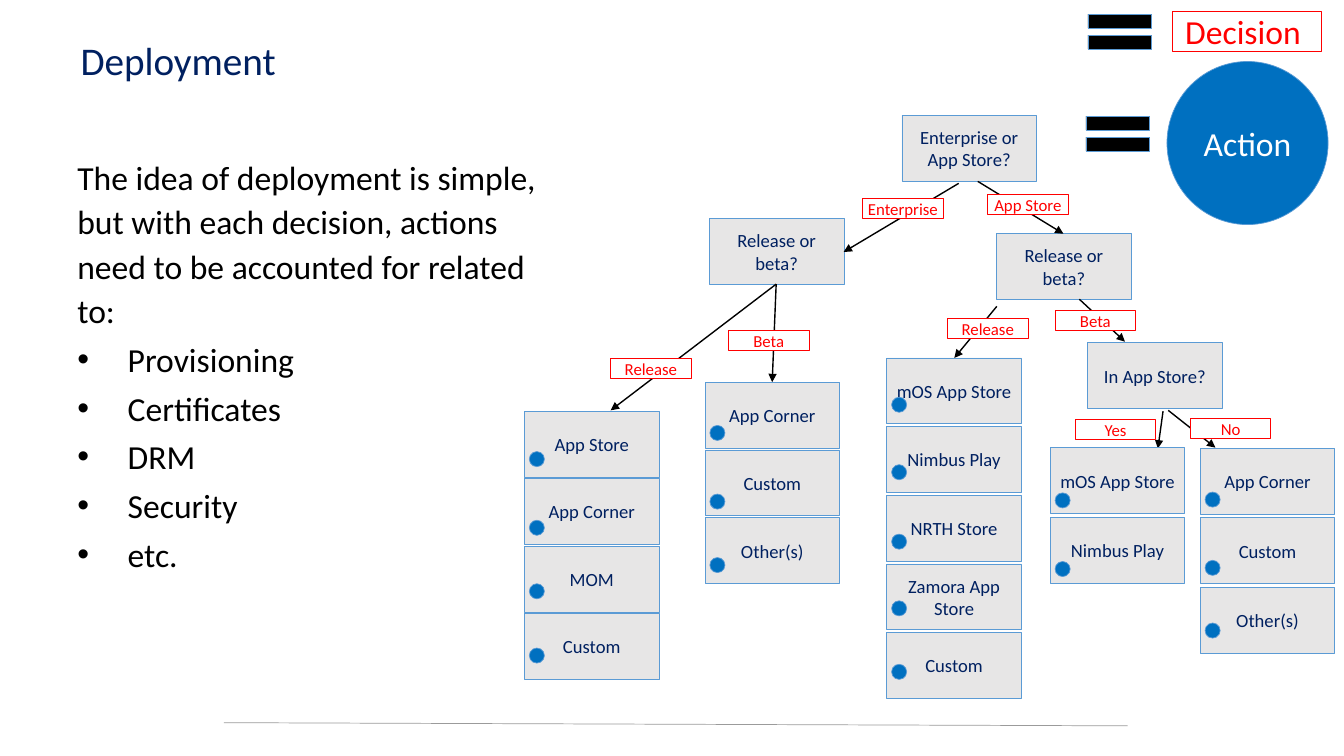
from lxml import etree
from pptx import Presentation
from pptx.dml.color import RGBColor
from pptx.enum import shapes, text
from pptx.oxml import ns
from pptx import util as u

COLORS = {
    "navy": "002060", "black": "000000", "white": "FFFFFF", "red": "FF0000",
    "blue": "0070C0", "edge": "5B9BD5", "panel": "E7E6E6", "rule": "9B9B9B",
}
KINDS = shapes.MSO_SHAPE
CENTER = text.PP_ALIGN.CENTER
LEFT = text.PP_ALIGN.LEFT
MIDDLE = text.MSO_ANCHOR.MIDDLE
TOP = text.MSO_ANCHOR.TOP


class Painter:
    """Holds the style and the current slide; all lengths are centimetres."""

    font = "Calibri"
    box_size = (3.39, 1.66)
    label_size = (2.03, 0.51)
    dot_size = 0.38

    def __init__(self, page):
        self.page = page

    def color(self, name):
        return RGBColor.from_string(COLORS[name])

    def style_font(self, font, size, color):
        font.name = self.font
        font.size = u.Pt(size)
        font.color.rgb = self.color(color)

    def set_insets(self, frame, left, top, right, bottom):
        frame.margin_left, frame.margin_top = u.Cm(left), u.Cm(top)
        frame.margin_right, frame.margin_bottom = u.Cm(right), u.Cm(bottom)

    def shape(self, kind, left, top, width, height, fill, edge="edge", weight=0.5):
        shape = self.page.shapes.add_shape(
            kind, u.Cm(left), u.Cm(top), u.Cm(width), u.Cm(height))
        shape.shadow.inherit = False
        shape.fill.solid()
        shape.fill.fore_color.rgb = self.color(fill)
        shape.line.color.rgb = self.color(edge)
        shape.line.width = u.Pt(weight)
        return shape

    def set_text(self, shape, words, size, color, align=CENTER, anchor=MIDDLE):
        frame = shape.text_frame
        frame.word_wrap = True
        frame.vertical_anchor = anchor
        frame.text = words
        para = frame.paragraphs[0]
        para.alignment = align
        self.style_font(para.runs[0].font, size, color)
        return frame

    def box(self, left, top, words):
        box = self.shape(KINDS.RECTANGLE, left, top, *self.box_size, "panel")
        self.set_text(box, words, 13.3, "navy")

    def label(self, left, top, words, size=12, area=label_size, indent=0, align=CENTER):
        label = self.shape(KINDS.RECTANGLE, left, top, *area, "white", "red", 0.75)
        frame = self.set_text(label, words, size, "red", align, TOP)
        self.set_insets(frame, indent, 0, 0, 0)

    def dot(self, left, top):
        self.shape(KINDS.OVAL, left, top, self.dot_size, self.dot_size, "blue")

    def equals(self, left, top):
        self.shape(KINDS.MATH_EQUAL, left, top, 2.18, 1.5, "black")

    def line(self, start, end, color="black", weight=1, arrow=True):
        line = self.page.shapes.add_connector(
            shapes.MSO_CONNECTOR.STRAIGHT, *map(u.Cm, start + end))
        line.line.color.rgb = self.color(color)
        line.line.width = u.Pt(weight)
        properties = line._element.spPr
        if arrow:
            outline = properties.find(ns.qn("a:ln"))
            etree.SubElement(outline, ns.qn("a:tailEnd"), type="triangle")
        etree.SubElement(properties, ns.qn("a:effectLst"))

    def text_box(self, left, top, width, height):
        return self.page.shapes.add_textbox(
            u.Cm(left), u.Cm(top), u.Cm(width), u.Cm(height))

    def title(self, words):
        box = self.text_box(1.7, 0.84, 31.22, 1.47)
        frame = self.set_text(box, words, 28, "navy", LEFT)
        self.set_insets(frame, 0.33, 0.18, 0.33, 0.18)
        frame.paragraphs[0].line_spacing = 0.9

    def body(self, intro, bullets):
        box = self.text_box(1.7, 3.73, 12.85, 12.22)
        frame = self.set_text(box, intro, 24, "black", LEFT, TOP)
        frame.paragraphs[0].line_spacing = 1.1
        for words in bullets:
            para = frame.add_paragraph()
            para.text = words
            para.space_before = u.Pt(6)
            properties = para._p.get_or_add_pPr()
            properties.set("marL", str(u.Cm(1.27)))
            properties.set("indent", str(u.Cm(-1.27)))
            etree.SubElement(properties, ns.qn("a:buFont"), typeface="Arial")
            etree.SubElement(properties, ns.qn("a:buChar"), char="•")
            self.style_font(para.runs[0].font, 24, "black")


QUESTIONS = [
    (22.73, 2.9, "Enterprise or App Store?"),
    (17.88, 5.51, "Release or beta?"),
    (25.12, 5.89, "Release or beta?"),
    (27.41, 8.64, "In App Store?"),
]

# Arrow start, arrow end, label position, label
BRANCHES = [
    ((24.16, 4.62), (21.26, 6.35), (21.74, 5.0), "Enterprise"),
    ((24.64, 4.57), (26.8, 5.89), (24.89, 4.9), "App Store"),
    ((19.56, 7.16), (15.39, 10.34), (15.39, 9.04), "Release"),
    ((19.56, 7.16), (19.46, 9.63), (18.36, 8.33), "Beta"),
    ((25.12, 7.72), (24.05, 9.02), (23.88, 8.03), "Release"),
    ((27.2, 7.54), (28.35, 8.61), (26.59, 7.82), "Beta"),
    ((29.31, 10.36), (29.18, 11.3), (27.1, 10.57), "Yes"),
    ((29.44, 10.34), (30.63, 11.28), (30.0, 10.54), "No"),
]

# Left, top, row pitch, target and dot top for each row
TARGETS = [
    (13.22, 10.36, 1.7, [("App Store", 11.38), ("App Corner", 13.11),
                         ("MOM", 14.71), ("Custom", 16.33)]),
    (17.77, 9.63, 1.71, [("App Corner", 10.72), ("Custom", 12.45),
                         ("Other(s)", 14.05)]),
    (22.35, 9.02, 1.73, [("mOS App Store", 10.01), ("Nimbus Play", 11.71),
                         ("NRTH Store", 13.46), ("Zamora App Store", 15.14),
                         ("Custom", 16.74)]),
    (26.47, 11.28, 1.75, [("mOS App Store", 12.42), ("Nimbus Play", 14.15)]),
    (30.25, 11.3, 1.75, [("App Corner", 12.4), ("Custom", 14.12),
                         ("Other(s)", 15.7)]),
]


def main():
    deck = Presentation()
    deck.slide_width, deck.slide_height = u.Cm(33.87), u.Cm(19.05)
    painter = Painter(deck.slides.add_slide(deck.slide_layouts[6]))

    # Footer rule, title and body
    painter.line((5.64, 18.21), (28.42, 18.29), "rule", 0.5, arrow=False)
    painter.title("Deployment")
    painter.body(
        "The idea of deployment is simple, but with each decision, actions "
        "need to be accounted for related to:",
        ["Provisioning", "Certificates", "DRM", "Security", "etc."])

    # Decision tree
    for question in QUESTIONS:
        painter.box(*question)
    for start, end, _, _ in BRANCHES:
        painter.line(start, end)
    for left, top, pitch, rows in TARGETS:
        for row, (name, dot_top) in enumerate(rows):
            painter.box(left, top + row * pitch, name)
            painter.dot(left + 0.12, dot_top)
    for _, _, place, name in BRANCHES:
        painter.label(*place, name)

    # Legend
    painter.label(29.54, 0.28, "Decision", 24, (3.76, 1.02), 0.33, LEFT)
    painter.equals(27.13, 0.05)
    action = painter.shape(KINDS.OVAL, 29.41, 1.55, 4.06, 4.11, "blue")
    painter.set_text(action, "Action", 24, "white")
    painter.equals(27.08, 2.62)

    deck.save("out.pptx")


if __name__ == "__main__":
    main()
